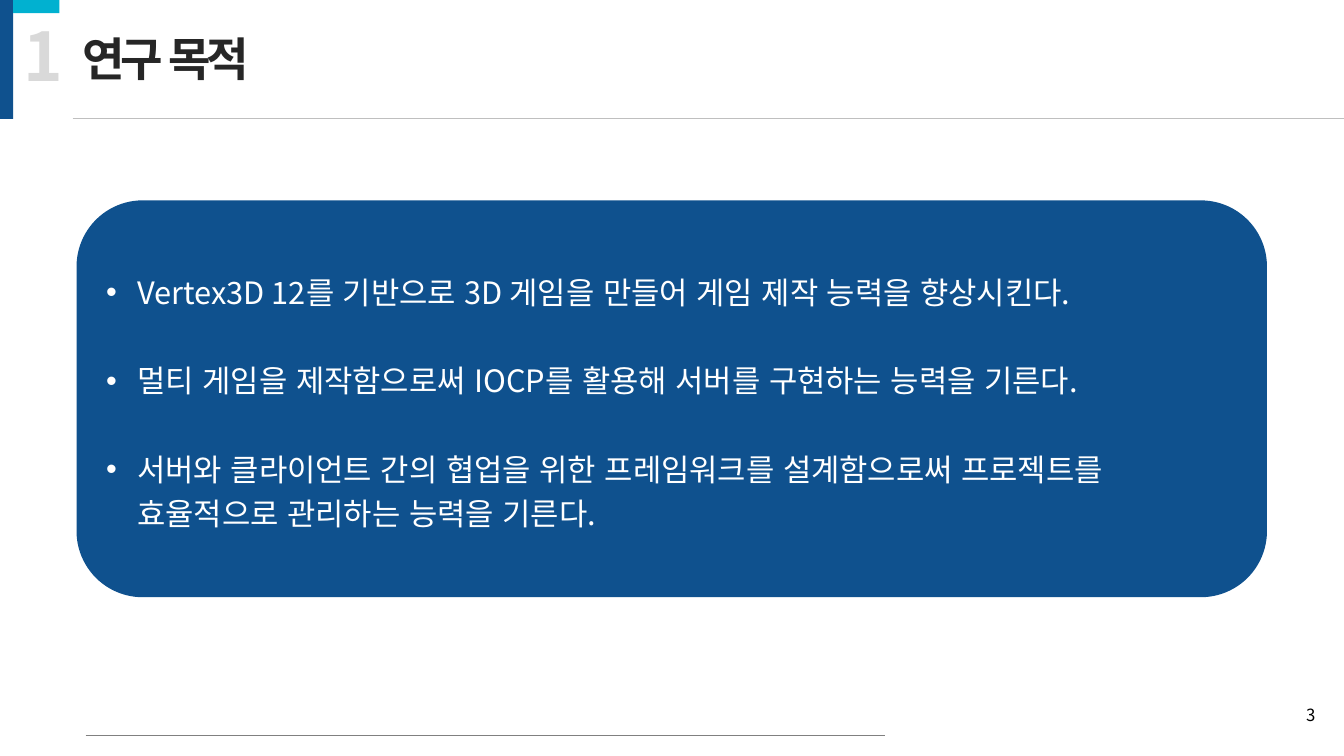
from dataclasses import dataclass

from lxml import etree
from pptx import Presentation, util as u
from pptx.dml.color import RGBColor
from pptx.enum import lang, shapes, text
from pptx.oxml.ns import qn

FONT = "Noto Sans CJK KR"
NAVY, CYAN, WHITE = "0F518E", "01B1D0", "FFFFFF"


@dataclass
class Block:
    kind: shapes.MSO_SHAPE
    left: float
    top: float
    width: float
    height: float
    color: str


@dataclass
class Rule:
    left: float
    right: float
    top: float
    color: str


@dataclass
class Label:
    content: str
    left: float
    top: float
    width: float
    height: float
    size: float
    color: str
    bold: bool = False
    align: text.PP_ALIGN = text.PP_ALIGN.LEFT
    anchor: text.MSO_ANCHOR = text.MSO_ANCHOR.TOP
    wrap: bool = True


BAR = Block(shapes.MSO_SHAPE.RECTANGLE, 0, 0, 0.33, 3, NAVY)
TAB = Block(shapes.MSO_SHAPE.RECTANGLE, 0.33, 0, 1.17, 0.33, CYAN)
PANEL = Block(shapes.MSO_SHAPE.ROUNDED_RECTANGLE, 1.93, 5.05, 30, 10, NAVY)
RULES = [Rule(1.83, 33.87, 2.98, "BFBFBF"), Rule(2.16, 22.3, 18.52, "808080")]
TITLE = Label("연구 목적", 1.83, 0.64, 8.71, 1.7, 33, "262626", bold=True)
LABELS = [
    Label("1", 0.34, 0.23, 1.55, 2.31, 48, "D9D9D9", bold=True, wrap=False),
    Label("3", 32.31, 17.5, 1.09, 1.02, 12, "000000",
          align=text.PP_ALIGN.RIGHT, anchor=text.MSO_ANCHOR.MIDDLE),
]
GOALS = [
    ["Vertex3D 12를 기반으로 3D 게임을 만들어 게임 제작 능력을 향상시킨다."],
    ["멀티 게임을 제작함으로써 IOCP를 활용해 서버를 구현하는 능력을 기른다."],
    ["서버와 클라이언트 간의 협업을 위한 프레임워크를 설계함으로써 프로젝트를 ",
     "효율적으로 관리하는 능력을 기른다."],
]


def rgb(color: str) -> RGBColor:
    return RGBColor.from_string(color)


def add_run(p, content: str, size: float, color: str, bold: bool = False):
    r = p.add_run()
    r.text = content
    r.font.size, r.font.bold, r.font.name = u.Pt(size), bold, FONT
    r.font.language_id = lang.MSO_LANGUAGE_ID.KOREAN
    r.font.color.rgb = rgb(color)
    etree.SubElement(r.font._element, qn("a:ea"), typeface=FONT)
    return r


def place(sp, left: float, top: float, width: float, height: float) -> None:
    sp.left, sp.top, sp.width, sp.height = map(u.Cm, (left, top, width, height))


def add_block(slide, block: Block):
    sp = slide.shapes.add_shape(block.kind, u.Cm(block.left), u.Cm(block.top),
                                u.Cm(block.width), u.Cm(block.height))
    sp.shadow.inherit = False
    sp.fill.solid()
    sp.fill.fore_color.rgb = rgb(block.color)
    sp.line.fill.background()
    return sp


def add_rule(slide, rule: Rule) -> None:
    line = slide.shapes.add_connector(shapes.MSO_CONNECTOR.STRAIGHT, u.Cm(rule.left),
                                      u.Cm(rule.top), u.Cm(rule.right), u.Cm(rule.top))
    line.line.color.rgb = rgb(rule.color)
    line.line.width = u.Pt(0.5)
    etree.SubElement(line._element.spPr, qn("a:effectLst"))


def write_label(sp, label: Label):
    place(sp, label.left, label.top, label.width, label.height)
    tf = sp.text_frame
    tf.word_wrap, tf.vertical_anchor = label.wrap, label.anchor
    tf.auto_size = text.MSO_AUTO_SIZE.NONE
    p = tf.paragraphs[0]
    p.alignment = label.align
    return add_run(p, label.content, label.size, label.color, label.bold)


def write_goals(sp, goals: list[list[str]]) -> None:
    tf = sp.text_frame
    tf.word_wrap, tf.vertical_anchor = True, text.MSO_ANCHOR.MIDDLE
    tf.auto_size = text.MSO_AUTO_SIZE.NONE
    for i, lines in enumerate(goals):
        p = tf.add_paragraph() if i else tf.paragraphs[0]
        p.line_spacing = 1.2
        p.space_before = u.Pt(31.6 if i else 0)
        pPr = p._p.get_or_add_pPr()
        pPr.set("marL", str(u.Cm(0.79)))
        pPr.set("indent", str(-u.Cm(0.79)))
        etree.SubElement(pPr, qn("a:buFont"), typeface="Arial")
        etree.SubElement(pPr, qn("a:buChar"), char="•")
        for j, line in enumerate(lines):
            if j:
                p.add_line_break()
            add_run(p, line, 22, WHITE)


prs = Presentation()
prs.slide_width, prs.slide_height = u.Cm(33.87), u.Cm(19.05)
slide = prs.slides.add_slide(prs.slide_layouts[1])
title, body = slide.placeholders

# Header
add_block(slide, BAR)
add_block(slide, TAB)
write_label(title, TITLE).font._element.set("spc", "-300")

# Rules, section number and page number
for rule in RULES:
    add_rule(slide, rule)
for label in LABELS:
    write_label(slide.shapes.add_textbox(0, 0, 0, 0), label)

# Goals on the panel, inset by its rounded corners
panel = add_block(slide, PANEL)
body._element.addprevious(panel._element)
inset = 0.49
place(body, PANEL.left + inset, PANEL.top + inset,
      PANEL.width - 2 * inset, PANEL.height - 2 * inset)
write_goals(body, GOALS)

prs.save("out.pptx")
